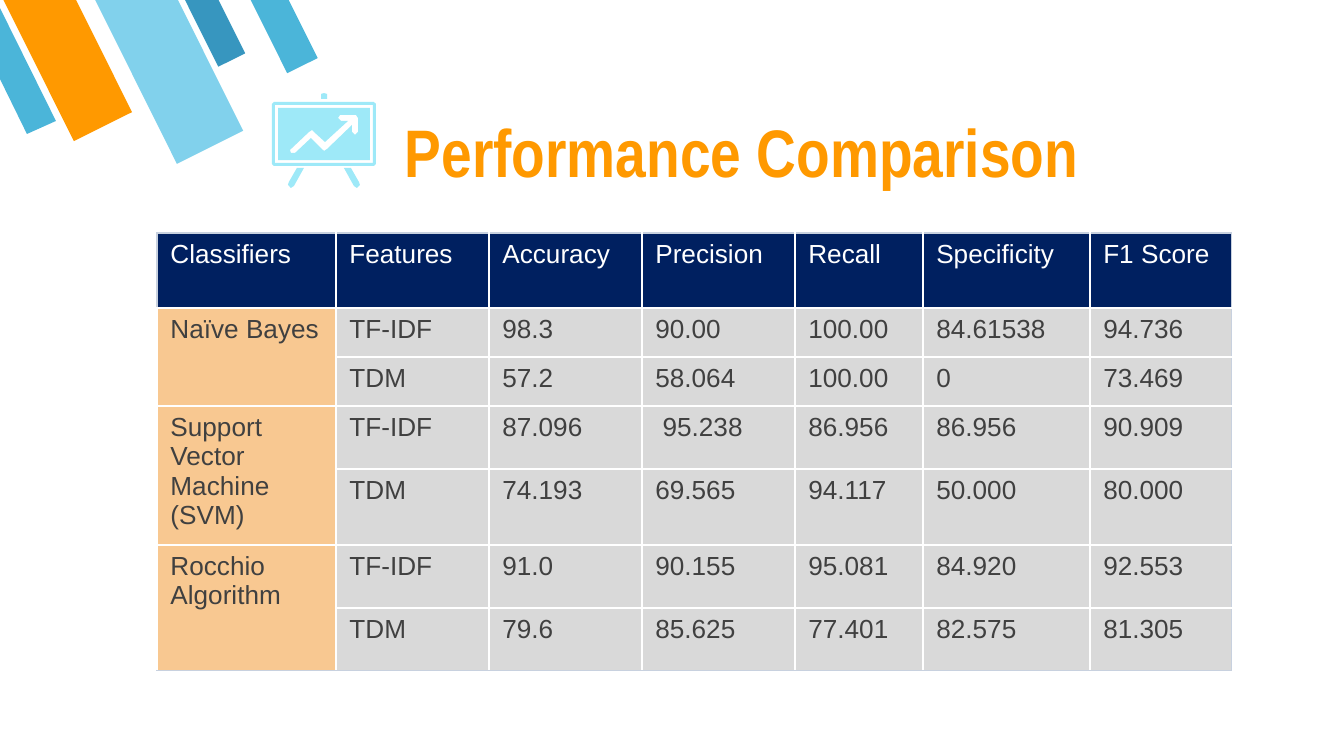
from dataclasses import dataclass

from lxml.etree import SubElement
from pptx import Presentation
from pptx.dml.color import RGBColor
from pptx.enum.shapes import MSO_SHAPE
from pptx.enum.text import MSO_ANCHOR
from pptx.oxml.ns import qn
from pptx.util import Emu, Pt

SLIDE_WIDTH, SLIDE_HEIGHT = 1344, 756
EMU_PER_PX = 9144000 / SLIDE_WIDTH

COLORS = {
    "sky": "4BB5D9",
    "pale_sky": "81D1EC",
    "steel": "3796BF",
    "orange": "FF9900",
    "icon": "9EE9F8",
    "navy": "002060",
    "peach": "F8C891",
    "grey": "D9D9D9",
    "ink": "404040",
    "white": "FFFFFF",
    "edge": "C8D1DF",
}

Point = tuple[int, int]


@dataclass(frozen=True)
class Stripe:
    left: int
    top: int
    width: int
    height: int
    color: str


@dataclass(frozen=True)
class Outline:
    contours: list[list[Point]]
    color: str


@dataclass(frozen=True)
class Classifier:
    name: str
    tf_idf: list[str]
    tdm: list[str]


STRIPES = [
    Stripe(200, -11, 30, 75, "steel"),
    Stripe(35, -24, 65, 159, "orange"),
    Stripe(132, -27, 74, 184, "pale_sky"),
    Stripe(267, -13, 34, 83, "sky"),
]
EDGE_STRIPE = Outline([[(27, 134), (56, 121), (0, 8), (0, 79)]], "sky")

BOARD_CENTER = 324
LEFT_LEG = [(297, 168), (289, 182), (288, 185), (291, 188), (294, 186), (304, 168)]
RIGHT_LEG = [(2 * BOARD_CENTER - x, y) for x, y in LEFT_LEG]
KNOB = [(324, 93), (321, 94), (321, 99), (327, 99), (327, 94)]
TREND_ARROW = [
    (356, 115), (358, 118), (358, 132), (355, 135), (352, 132), (352, 125),
    (327, 149), (324, 151), (322, 149), (311, 138), (295, 153), (291, 153),
    (290, 150), (309, 132), (312, 130), (314, 132), (325, 142), (348, 121),
    (341, 121), (338, 118), (340, 115),
]

HEADINGS = ["Classifiers", "Features", "Accuracy", "Precision", "Recall", "Specificity", "F1 Score"]
CLASSIFIERS = [
    Classifier("Naïve Bayes",
               ["98.3", "90.00", "100.00", "84.61538", "94.736"],
               ["57.2", "58.064", "100.00", "0", "73.469"]),
    Classifier("Support Vector Machine (SVM)",
               ["87.096", " 95.238", "86.956", "86.956", "90.909"],
               ["74.193", "69.565", "94.117", "50.000", "80.000"]),
    Classifier("Rocchio\nAlgorithm",
               ["91.0", "90.155", "95.081", "84.920", "92.553"],
               ["79.6", "85.625", "77.401", "82.575", "81.305"]),
]
COLUMN_WIDTHS = [179, 153, 153, 153, 128, 167, 142]
ROW_HEIGHTS = [75, 49, 49, 63, 73, 63, 63]


def px(length: int) -> Emu:
    return Emu(round(length * EMU_PER_PX))


def rgb(color: str) -> RGBColor:
    return RGBColor.from_string(COLORS[color])


def chamfered_box(left: int, top: int, right: int, bottom: int, cut: int) -> list[Point]:
    return [
        (left + cut, top), (right - cut, top), (right, top + cut), (right, bottom - cut),
        (right - cut, bottom), (left + cut, bottom), (left, bottom - cut), (left, top + cut),
    ]


def box(left: int, top: int, right: int, bottom: int) -> list[Point]:
    """Corners run the other way round, so that the box can be a hole."""
    return [(left, top), (left, bottom), (right, bottom), (right, top)]


def paint(shape, color: str) -> None:
    shape.fill.solid()
    shape.fill.fore_color.rgb = rgb(color)
    shape.line.fill.background()
    shape.shadow.inherit = False


def draw_stripe(slide, stripe: Stripe) -> None:
    shape = slide.shapes.add_shape(
        MSO_SHAPE.FLOWCHART_MANUAL_INPUT,
        px(stripe.left), px(stripe.top), px(stripe.width), px(stripe.height))
    shape.rotation = 333.5
    shape._element.spPr.xfrm.set("flipH", "1")
    paint(shape, stripe.color)


def draw_outline(slide, outline: Outline) -> None:
    first, *holes = outline.contours
    builder = slide.shapes.build_freeform(*first[0], scale=EMU_PER_PX)
    builder.add_line_segments(first[1:], close=True)
    for hole in holes:
        builder.move_to(*hole[0])
        builder.add_line_segments(hole[1:], close=True)
    paint(builder.convert_to_shape(), outline.color)


def format_runs(text_frame, font_name: str, size: int, color: str, bold: bool = False) -> None:
    for paragraph in text_frame.paragraphs:
        for run in paragraph.runs:
            run.font.name = font_name
            run.font.size = Pt(size)
            run.font.bold = bold
            run.font.color.rgb = rgb(color)


def draw_title(slide) -> None:
    title = slide.shapes.add_textbox(px(392), px(98), px(829), px(106))
    frame = title.text_frame
    frame.word_wrap = True
    frame.vertical_anchor = MSO_ANCHOR.BOTTOM
    frame.margin_left = frame.margin_right = frame.margin_top = frame.margin_bottom = px(13)
    frame.text = "Performance Comparison"
    format_runs(frame, "Arial Narrow", 36, "orange", bold=True)


def set_borders(cell, outer_sides: dict[str, bool]) -> None:
    """Outer sides get a thin tinted line, the others a white one."""
    properties = cell._tc.get_or_add_tcPr()
    for side, is_outer in outer_sides.items():
        width = Pt(0.75) if is_outer else Pt(1)
        line = SubElement(properties, qn(f"a:ln{side}"), w=str(width))
        fill = SubElement(line, qn("a:solidFill"))
        SubElement(fill, qn("a:srgbClr"), val=COLORS["edge" if is_outer else "white"])


def draw_table(slide) -> None:
    rows = [HEADINGS]
    for classifier in CLASSIFIERS:
        rows.append([classifier.name, "TF-IDF", *classifier.tf_idf])
        rows.append(["", "TDM", *classifier.tdm])

    table = slide.shapes.add_table(
        len(rows), len(HEADINGS), px(157), px(233),
        px(sum(COLUMN_WIDTHS)), px(sum(ROW_HEIGHTS))).table
    table.first_row = table.horz_banding = False
    for column, width in zip(table.columns, COLUMN_WIDTHS):
        column.width = px(width)
    for row, height in zip(table.rows, ROW_HEIGHTS):
        row.height = px(height)
    for top in range(1, len(rows), 2):
        table.cell(top, 0).merge(table.cell(top + 1, 0))

    for r, texts in enumerate(rows):
        for c, text in enumerate(texts):
            cell = table.cell(r, c)
            if cell.is_spanned:
                continue
            bottom_row = r + (cell.span_height if cell.is_merge_origin else 1)
            set_borders(cell, {
                "L": r == c == 0,
                "R": c == len(HEADINGS) - 1,
                "T": r == 0,
                "B": bottom_row == len(rows),
            })
            cell.fill.solid()
            cell.fill.fore_color.rgb = rgb("navy" if r == 0 else "peach" if c == 0 else "grey")
            cell.text_frame.text = text
            format_runs(cell.text_frame, "Arial", 14, "white" if r == 0 else "ink")


def main() -> None:
    presentation = Presentation()
    presentation.slide_width, presentation.slide_height = px(SLIDE_WIDTH), px(SLIDE_HEIGHT)
    slide = presentation.slides.add_slide(presentation.slide_layouts[6])

    for stripe in STRIPES:
        draw_stripe(slide, stripe)
    draw_outline(slide, EDGE_STRIPE)
    draw_title(slide)
    draw_table(slide)

    board_frame = [chamfered_box(272, 102, 376, 166, 2), box(275, 105, 373, 163)]
    board_panel = [box(278, 108, 370, 160), TREND_ARROW]
    for contours in (board_frame, [KNOB], [LEFT_LEG], [RIGHT_LEG], board_panel):
        draw_outline(slide, Outline(contours, "icon"))

    presentation.save("out.pptx")


if __name__ == "__main__":
    main()
